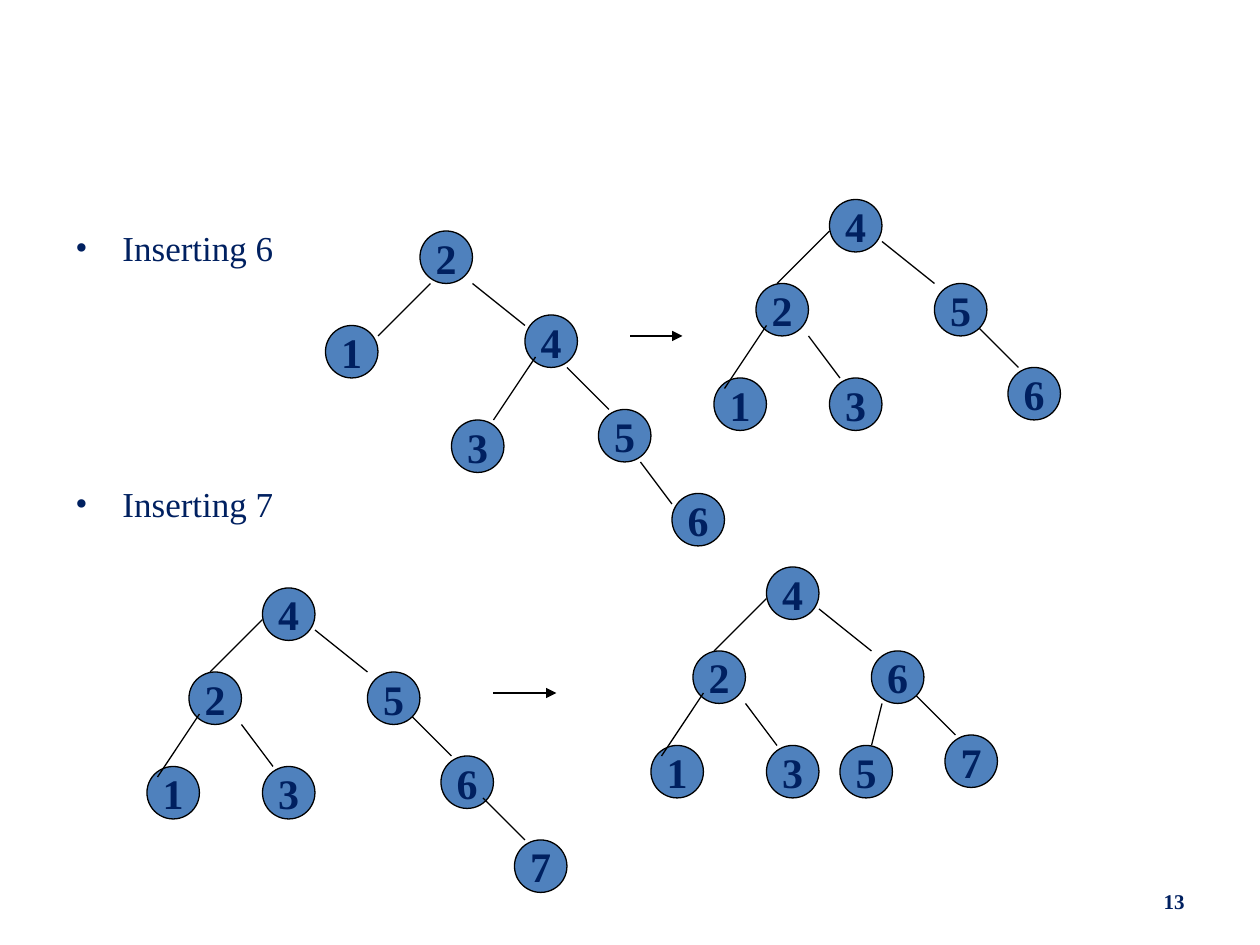
from pptx import Presentation
from pptx.dml.color import RGBColor
from pptx.enum.shapes import MSO_CONNECTOR, MSO_SHAPE
from pptx.enum.text import MSO_ANCHOR, PP_ALIGN
from pptx.oxml.ns import qn
from pptx.util import Cm, Pt
from lxml import etree

NAVY = RGBColor(0x00, 0x20, 0x60)
BLUE = RGBColor(0x4F, 0x81, 0xBD)
BLACK = RGBColor(0, 0, 0)
OVAL = MSO_SHAPE.OVAL
LINE = MSO_CONNECTOR.STRAIGHT
MIDDLE = MSO_ANCHOR.MIDDLE
CENTER, RIGHT = PP_ALIGN.CENTER, PP_ALIGN.RIGHT

STEP = 2.54 / 12  # grid step in cm
SIZE = 5          # node width in steps


def grid(*steps):
    return [Cm(n * STEP) for n in steps]


class Painter:
    font = "Times New Roman"
    width = Pt(0.75)

    def __init__(self, slide):
        self.slide = slide

    def run(self, para, text, size, bold=False):
        run = para.add_run()
        run.text = text
        font = run.font
        font.name, font.size, font.bold = self.font, Pt(size), bold
        font.color.rgb = NAVY

    def box(self, left, top, width, height):
        box = self.slide.shapes.add_textbox(Cm(left), Cm(top), Cm(width), Cm(height))
        box.text_frame.word_wrap = True
        return box.text_frame

    def bullets(self, frame, items):
        """Fill a frame from (text, space before in points) pairs."""
        for i, (text, space) in enumerate(items):
            para = frame.add_paragraph() if i else frame.paragraphs[0]
            para.space_before = Pt(space)
            props = para._p.get_or_add_pPr()
            props.set("marL", str(Cm(0.95)))
            props.set("indent", str(-Cm(0.95)))
            etree.SubElement(props, qn("a:buFont"), typeface=self.font)
            etree.SubElement(props, qn("a:buChar"), char="•")
            self.run(para, text, 20)

    def number(self, text):
        frame = self.box(18.2, 17.65, 5.93, 1.02)
        frame.vertical_anchor = MIDDLE
        para = frame.paragraphs[0]
        para.alignment = RIGHT
        self.run(para, text, 12, True)

    def node(self, key, x, y):
        node = self.slide.shapes.add_shape(OVAL, *grid(x, y, SIZE, SIZE))
        node.shadow.inherit = False
        node.fill.solid()
        node.fill.fore_color.rgb = BLUE
        node.line.color.rgb = BLACK
        node.line.width = self.width
        frame = node.text_frame
        frame.word_wrap = False
        frame.vertical_anchor = MIDDLE
        para = frame.paragraphs[0]
        para.alignment = CENTER
        self.run(para, key, 24, True)

    def edge(self, x1, y1, x2, y2):
        edge = self.slide.shapes.add_connector(LINE, *grid(x1, y1, x2, y2))
        edge.line.color.rgb = BLACK
        edge.line.width = self.width
        etree.SubElement(edge._element.spPr, qn("a:effectLst"))
        return edge

    def arrow(self, x, y, length):
        line = self.edge(x, y, x + length, y).line
        etree.SubElement(line._get_or_add_ln(), qn("a:tailEnd"), type="triangle")

    def tree(self, x, y, parts):
        """Draw nodes (key, x, y) and edges (x1, y1, x2, y2) around a root."""
        for part in parts:
            if len(part) == 3:
                key, dx, dy = part
                self.node(key, x + dx, y + dy)
            else:
                x1, y1, x2, y2 = part
                self.edge(x + x1, y + y1, x + x2, y + y2)


def level(right, leaf):
    """Parts of a balanced tree, with its right child and outer leaf given."""
    return [
        ("3", 0, 17), ("2", -7, 8), ("1", -11, 17),
        (0, 3, -5, 8), (5, 4, 10, 8), ("4", 0, 0),
        (14, 12, 18, 16), (right, 10, 8), (-6, 12, -10, 18),
        (leaf, 17, 16), (-2, 13, 1, 17),
    ]


SKEW = [
    ("3", 3, 18), ("2", 0, 0), ("1", -9, 9),
    (1, 5, -4, 10), (5, 5, 10, 9), ("4", 10, 8),
    (14, 13, 18, 17), ("5", 17, 17), (11, 12, 7, 18),
    ("6", 24, 25), (21, 22, 24, 26),
]
CHAIN = [("7", 24, 24), (21, 20, 25, 24)]
INNER = [("5", 7, 17), (11, 13, 10, 17)]


def main():
    deck = Presentation()
    deck.slide_width, deck.slide_height = Cm(25.4), Cm(19.05)
    pen = Painter(deck.slides.add_slide(deck.slide_layouts[6]))

    body = pen.box(1.27, 4.45, 22.86, 12.57)
    pen.bullets(body, [("Inserting 6", 5), ("Inserting 7", 122)])
    pen.number("13")

    pen.tree(40, 22, SKEW)
    pen.arrow(60, 32, 5)
    pen.tree(79, 19, level("5", "6"))

    pen.tree(25, 56, level("5", "6") + CHAIN)
    pen.arrow(47, 66, 6)
    pen.tree(73, 54, level("6", "7") + INNER)
    deck.save("out.pptx")


if __name__ == "__main__":
    main()
